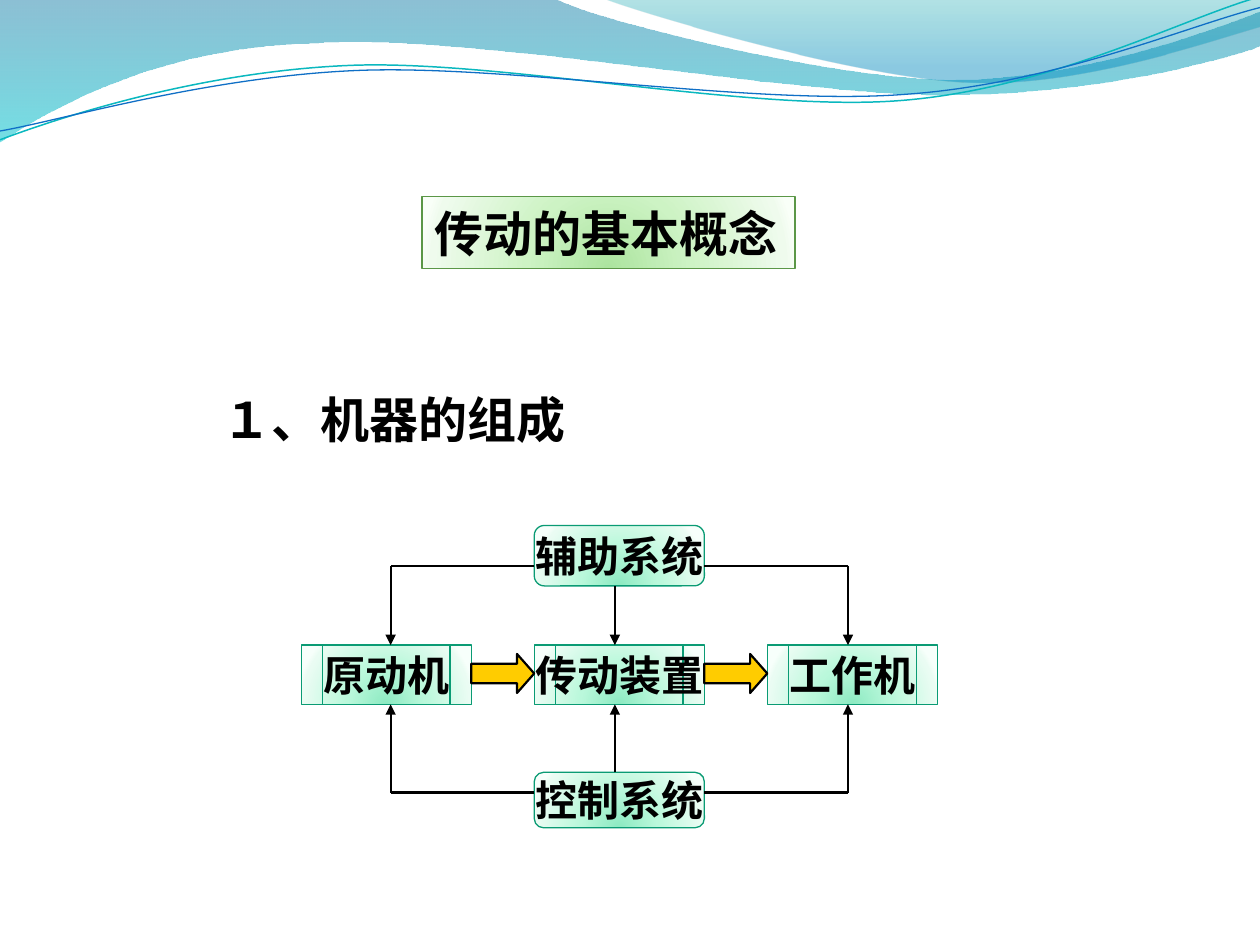
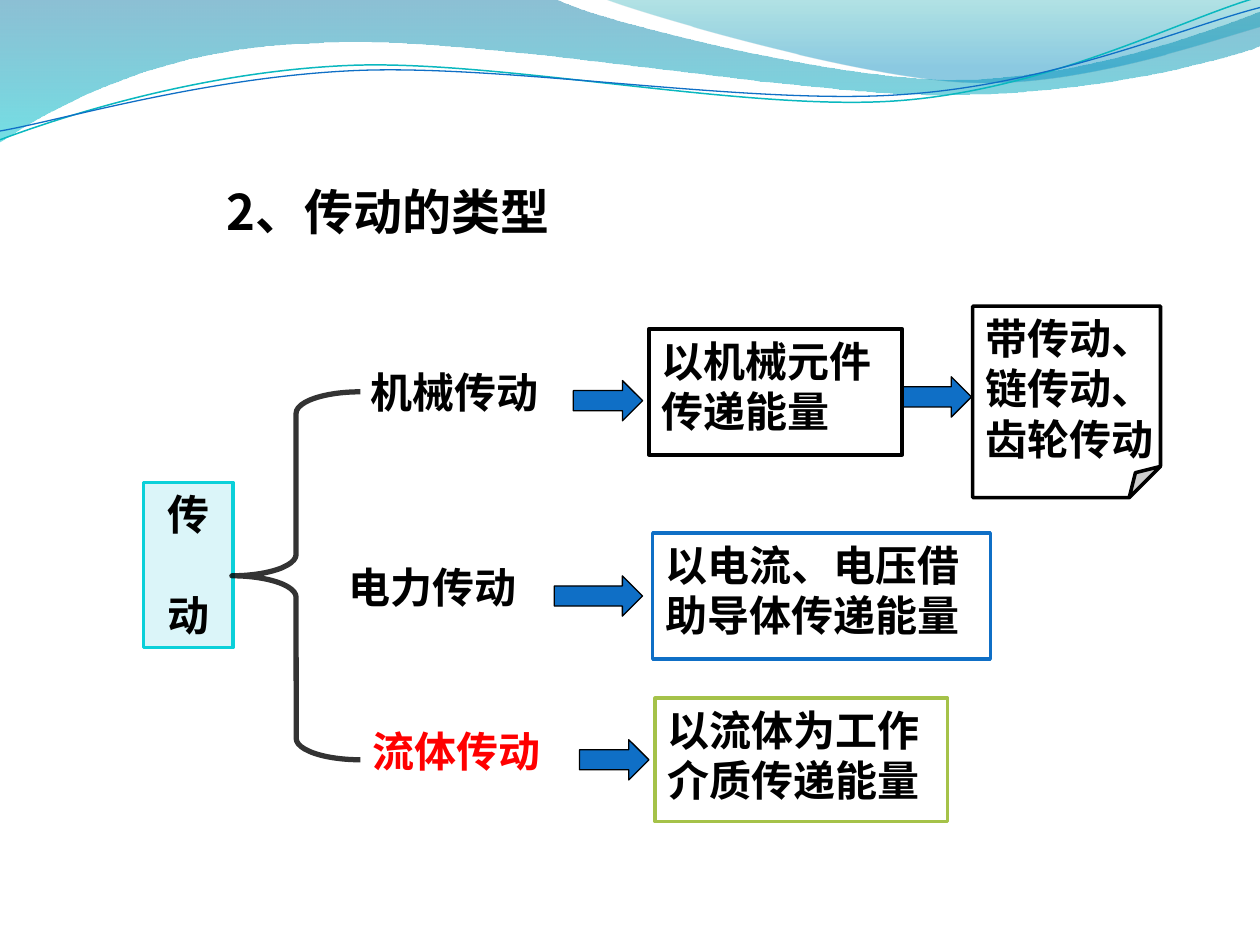
from pptx import Presentation
from pptx.dml.color import RGBColor
from pptx.enum.shapes import MSO_CONNECTOR, MSO_SHAPE as Shape
from pptx.enum.text import MSO_ANCHOR as Anchor, PP_ALIGN as Align
from pptx.oxml import parse_xml
from pptx.oxml.ns import nsdecls, qn
from pptx.util import Inches, Pt

SANS, SERIF = "Noto Sans CJK SC", "TeX Gyre Pagella"
BLACK, WHITE, BLUE = "000000", "FFFFFF", "0F6FC6"
LINE_PITCH = 1.2

# Stops: position %, colour, opacity %
MINT = [(0, "8DEAC2", 100), (43, "BAF8DB", 100), (93, "EAFCF3", 100), (100, "F7FFFB", 100)]
LEAF = [(0, "ACE49F", 100), (43, "CDF3C4", 100), (93, "EFFBED", 100), (100, "F9FFF8", 100)]
DOWNWARD = '<a:lin ang="5400000" scaled="1"/>'
GLOW = '<a:path path="circle"><a:fillToRect l="50000" t="130000" r="50000" b="-30000"/></a:path>'

# Header waves: a tuple of two is a line point, of six a Bezier segment
WAVE_FILLS = [
    ([(0, 0), (4.4, -0.01), (4.76, 0.17, 6.64, 0.63, 7.58, 0.63),
      (8.53, 0.63, 9.58, 0.26, 10, 0.09), (10.01, 0.36),
      (9.83, 0.44, 8.7, 0.76, 7.46, 0.75), (6.22, 0.75, 3.82, 0.28, 2.57, 0.34),
      (1.29, 0.36, 0.46, 0.83, -0.01, 1.13), (0, 0)],
     [(0, "0074A1", 45), (100, "00C6CF", 55)]),
    ([(4.79, -0.01), (5.09, 0.11, 6.82, 0.62, 7.69, 0.65),
      (8.56, 0.69, 9.61, 0.32, 10, 0.21), (10, 0), (4.79, -0.01)],
     [(0, "00A1A9", 30), (80, "008BBF", 45)]),
]
WAVE_LINES = [
    ([(0, 1.11), (0.48, 0.93, 1.58, 0.57, 2.77, 0.52),
      (3.95, 0.47, 5.93, 0.89, 7.13, 0.8), (8.33, 0.71, 9.38, 0.15, 9.98, -0.02)],
     "0AB8BF", 0.85),
    ([(0, 1.04), (0.47, 0.96, 1.64, 0.61, 2.83, 0.56),
      (4.03, 0.51, 5.97, 0.84, 7.17, 0.75), (8.36, 0.67, 9.41, 0.21, 10, 0.06)],
     BLUE, 0.75),
]


def color(hex_value):
    return RGBColor.from_string(hex_value)


def set_gradient(shape, stops, direction):
    shape.fill.gradient()
    properties = shape._element.spPr
    marks = "".join(
        f'<a:gs pos="{pos * 1000}"><a:srgbClr val="{tone}">'
        f'<a:alpha val="{opacity * 1000}"/></a:srgbClr></a:gs>'
        for pos, tone, opacity in stops)
    gradient = parse_xml(f'<a:gradFill {nsdecls("a")} rotWithShape="1">'
                         f'<a:gsLst>{marks}</a:gsLst>{direction}</a:gradFill>')
    properties.replace(properties.find(qn("a:gradFill")), gradient)


def set_line(shape, tone, width):
    shape.line.color.rgb = color(tone)
    shape.line.width = Pt(width)


def set_text(shape, text, size=24, tone=BLACK, font=SANS, align=Align.LEFT,
             anchor=Anchor.TOP, wrap=True):
    frame = shape.text_frame
    frame.text = text
    frame.word_wrap = wrap
    frame.vertical_anchor = anchor
    for paragraph in frame.paragraphs:
        paragraph.alignment = align
        paragraph.line_spacing = Pt(size * LINE_PITCH)
        for run in paragraph.runs:
            run.font.size = Pt(size)
            run.font.bold = True
            run.font.name = font
            run.font.color.rgb = color(tone)
            run._r.get_or_add_rPr().find(qn("a:latin")).addnext(
                parse_xml(f'<a:ea {nsdecls("a")} typeface="{SANS}"/>'))
    return frame


def add_block(slide, kind, box, line, width, fill=None):
    block = slide.shapes.add_shape(kind, *map(Inches, box))
    block.shadow.inherit = False
    if fill is None:
        block.fill.background()
    elif isinstance(fill, list):
        set_gradient(block, fill, GLOW)
    else:
        block.fill.solid()
        block.fill.fore_color.rgb = color(fill)
    set_line(block, line, width)
    return block


def add_label(slide, box, text, **style):
    label = slide.shapes.add_textbox(*map(Inches, box))
    return set_text(label, text, **style)


def add_arrow(slide, box, fill, line_width, head):
    arrow = add_block(slide, Shape.RIGHT_ARROW, box, BLACK, line_width, fill)
    arrow.adjustments[1] = head


def add_link(slide, start, end, pointed=False):
    link = slide.shapes.add_connector(
        MSO_CONNECTOR.STRAIGHT, *map(Inches, (*start, *end)))
    set_line(link, BLACK, 1.25)
    if pointed:
        link.line._get_or_add_ln().append(
            parse_xml(f'<a:tailEnd {nsdecls("a")} type="triangle"/>'))
    link._element.spPr.append(parse_xml(f'<a:effectLst {nsdecls("a")}/>'))


def add_outline(slide, segments, close):
    """Build the outline through the segment ends, then bend the Bezier segments."""
    start, *rest = [(Inches(s[-2]), Inches(s[-1])) for s in segments]
    builder = slide.shapes.build_freeform(*start)
    builder.add_line_segments(rest, close=close)
    outline = builder.convert_to_shape()
    outline.shadow.inherit = False
    sides = list(outline._element.iter(qn("a:lnTo")))
    for side, segment in zip(sides, segments[1:]):
        if len(segment) == 6:
            points = "".join(
                f'<a:pt x="{Inches(x) - outline.left}" y="{Inches(y) - outline.top}"/>'
                for x, y in zip(segment[::2], segment[1::2]))
            side.getparent().replace(side, parse_xml(
                f'<a:cubicBezTo {nsdecls("a")}>{points}</a:cubicBezTo>'))
    return outline


def add_waves(slide):
    for segments, stops in WAVE_FILLS:
        band = add_outline(slide, segments, close=True)
        set_gradient(band, stops, DOWNWARD)
        band.line.fill.background()
    for segments, tone, width in WAVE_LINES:
        curve = add_outline(slide, segments, close=False)
        curve.fill.background()
        set_line(curve, tone, width)


def draw_machine_parts(slide, left, top):
    """Three machine stages, with a system above and one below."""
    width, pitch, stage_height = 1.35, 1.85, 0.47
    stage_top, stage_bottom = top + 0.95, top + 0.95 + stage_height
    middle = left + pitch

    def add_part(kind, x, y, height, text, font):
        part = add_block(slide, kind, (x, y, width, height), "0A9B74", 0.75, MINT)
        frame = set_text(part, text, font=font, align=Align.CENTER,
                         anchor=Anchor.MIDDLE, wrap=False)
        frame.margin_left = frame.margin_right = 0
        frame.margin_top = frame.margin_bottom = 0

    # Stages and the arrows between them
    stages = [("原动机", SANS), ("传动装置", SANS), ("工作机", SERIF)]
    for i, (text, font) in enumerate(stages):
        add_part(Shape.FLOWCHART_PREDEFINED_PROCESS, left + i * pitch, stage_top,
                 stage_height, text, font)
    for i in range(2):
        add_arrow(slide, (left + i * pitch + width, top + 1.02, pitch - width, 0.31),
                  "FFCC00", 1.25, 0.44)

    # Systems: text, top, height, edge facing the stages, branch line, arrow target
    systems = [("辅助系统", top, 0.48, top + 0.48, top + 0.32, stage_top),
               ("控制系统", top + 1.96, 0.44, top + 1.96, top + 2.12, stage_bottom)]
    for text, y, height, edge, branch, target in systems:
        add_part(Shape.FLOWCHART_ALTERNATE_PROCESS, middle, y, height, text, SERIF)
        add_link(slide, (left + 2.49, edge), (left + 2.49, target), pointed=True)
        for side, end in ((middle, left + 0.71), (middle + width, left + 4.34)):
            add_link(slide, (side, branch), (end, branch))
            add_link(slide, (end, branch), (end, target), pointed=True)


def draw_drive_types(slide, left, top):
    """Brace from the root to three drive types, each with its explanation."""
    def place(x, y, width, height):
        return left + x, top + y, width, height

    # Root and brace
    root = add_block(slide, Shape.RECTANGLE, place(0, 1.4, 0.71, 1.31),
                     "0BD0D9", 2, "DBF5F9")
    frame = set_text(root, "传\n动", align=Align.CENTER)
    frame.paragraphs[1].space_before = Pt(24 * LINE_PITCH)
    brace = add_block(slide, Shape.LEFT_BRACE, place(0.7, 0.68, 1.02, 2.92), BLACK, 3)
    brace.adjustments[0] = 0.167
    brace.line._get_or_add_ln().find(".//" + qn("a:srgbClr")).append(
        parse_xml(f'<a:alpha {nsdecls("a")} val="80000"/>'))

    # Types: name, colour, box, arrow box
    types = [
        ("机械传动", BLACK, (1.7, 0.43, 2.35, 0.5), (3.41, 0.59, 0.55, 0.32)),
        ("电力传动", BLACK, (1.53, 1.98, 2.48, 0.5), (3.26, 2.14, 0.7, 0.32)),
        ("流体传动", "FF0000", (1.72, 3.28, 2.53, 0.5), (3.46, 3.44, 0.55, 0.32)),
    ]
    for name, tone, box, arrow_box in types:
        add_label(slide, place(*box), name, tone=tone)
        add_arrow(slide, place(*arrow_box), BLUE, 0.75, 0.5)
    add_arrow(slide, place(6.02, 0.56, 0.55, 0.32), BLUE, 0.75, 0.5)

    # Explanations and the examples sheet
    notes = [
        (Shape.RECTANGLE, "以机械元件\n传递能量", BLACK, (4.01, 0.18, 2.01, 1)),
        (Shape.RECTANGLE, "以电流、电压借\n助导体传递能量", BLUE, (4.04, 1.8, 2.68, 1)),
        (Shape.RECTANGLE, "以流体为工作\n介质传递能量", "A5C249", (4.06, 3.11, 2.32, 0.98)),
        (Shape.FOLDED_CORNER, "带传动、\n链传动、\n齿轮传动", BLACK, (6.58, 0, 1.49, 1.52)),
    ]
    for kind, text, line, box in notes:
        note = add_block(slide, kind, place(*box), line, 2, WHITE)
        set_text(note, text).margin_right = 0


def build_concept_slide(slide):
    add_waves(slide)
    title = add_block(slide, Shape.RECTANGLE, (3.35, 1.56, 2.96, 0.57),
                      "5B9747", 0.75, LEAF)
    set_text(title, "传动的基本概念", size=28, anchor=Anchor.MIDDLE).margin_right = 0
    add_label(slide, (1.67, 3.04, 3.36, 0.68), "１、机器的组成", size=28)
    draw_machine_parts(slide, 2.39, 4.17)


def build_types_slide(slide):
    add_waves(slide)
    add_label(slide, (1.7, 1.39, 2.77, 0.57), "2、传动的类型", size=28)
    draw_drive_types(slide, 1.14, 2.43)


def main():
    deck = Presentation()
    deck.slide_width, deck.slide_height = Inches(10), Inches(7.5)
    for build in (build_concept_slide, build_types_slide):
        build(deck.slides.add_slide(deck.slide_layouts[6]))
    deck.save("out.pptx")


if __name__ == "__main__":
    main()
